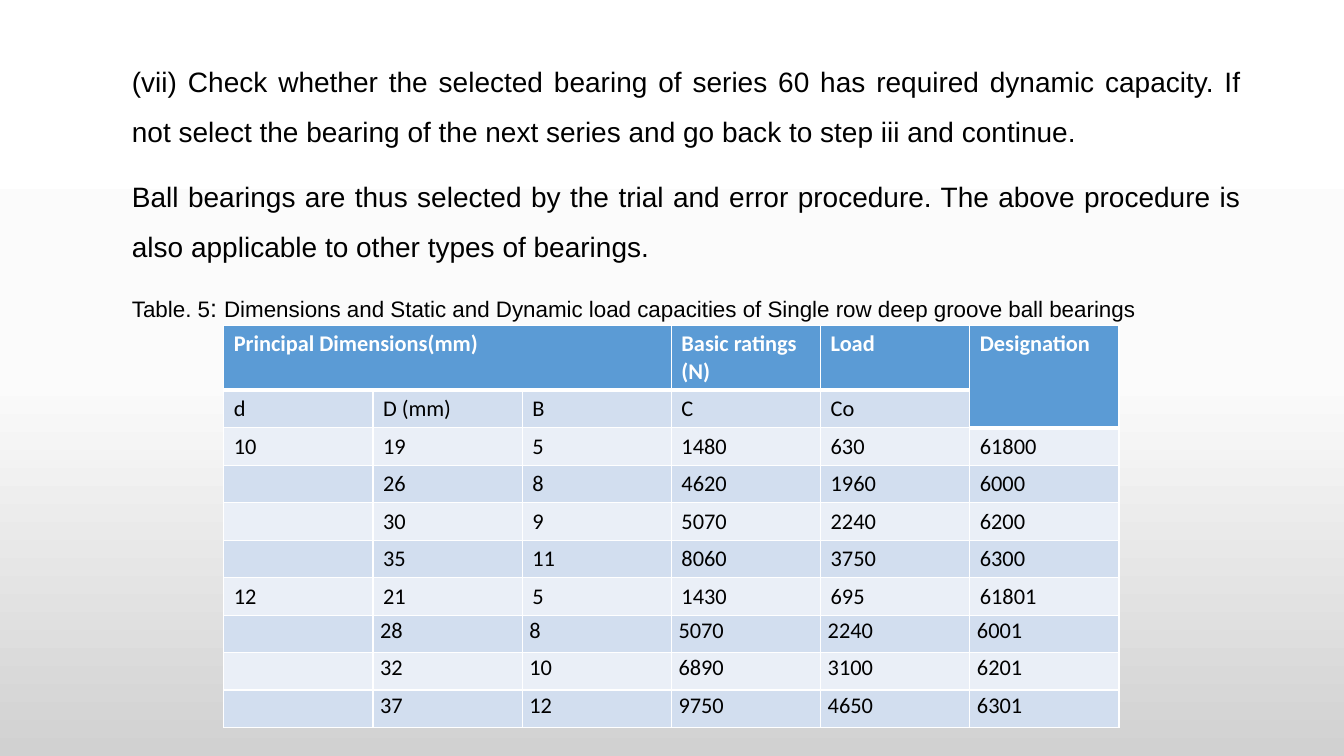
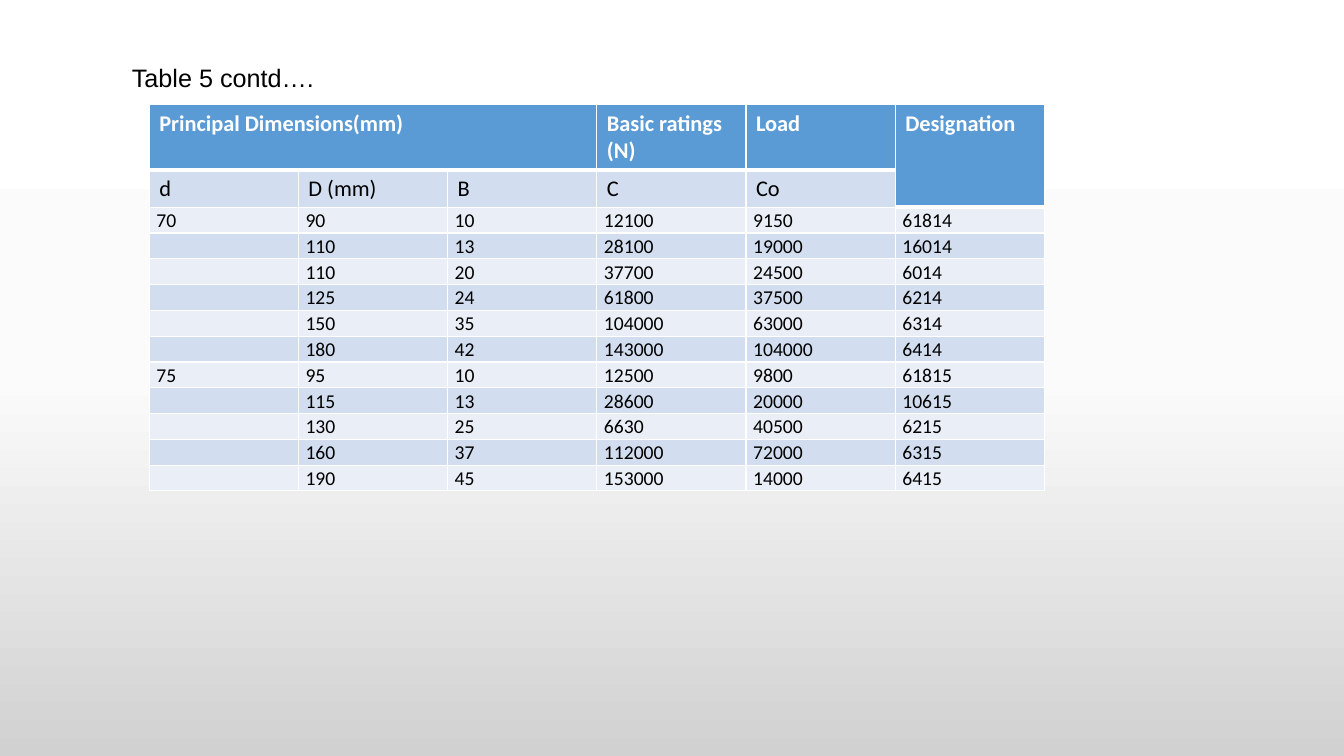
from copy import deepcopy

from lxml.etree import SubElement
from pptx import Presentation
from pptx.dml.color import RGBColor
from pptx.enum.text import MSO_ANCHOR, MSO_AUTO_SIZE, PP_ALIGN
from pptx.oxml import parse_xml
from pptx.oxml.ns import nsdecls, qn
from pptx.util import Cm, Pt

WHITE = RGBColor(0xFF, 0xFF, 0xFF)
BLACK = RGBColor(0, 0, 0)
HEADER_BLUE = RGBColor(0x5B, 0x9B, 0xD5)
BAND_BLUE = RGBColor(0xD2, 0xDE, 0xEF)
PALE_BLUE = RGBColor(0xEA, 0xEF, 0xF7)
BACKGROUND_STOPS = [
    (0, WHITE),
    (0.5, RGBColor(0xFB, 0xFB, 0xFB)),
    (1, RGBColor(0xD1, 0xD1, 0xD1)),
]

HEADINGS = [
    ["Principal Dimensions(mm)", "", "", "Basic ratings (N)", "Load", "Designation"],
    ["d", "D (mm)", "B", "C", "Co", ""],
]
SMALL_BEARINGS = [
    ["10", "19", "5", "1480", "630", "61800"],
    ["", "26", "8", "4620", "1960", "6000"],
    ["", "30", "9", "5070", "2240", "6200"],
    ["", "35", "11", "8060", "3750", "6300"],
    ["12", "21", "5", "1430", "695", "61801"],
    ["", "28", "8", "5070", "2240", "6001"],
    ["", "32", "10", "6890", "3100", "6201"],
    ["", "37", "12", "9750", "4650", "6301"],
]
LARGE_BEARINGS = [
    ["70", "90", "10", "12100", "9150", "61814"],
    ["", "110", "13", "28100", "19000", "16014"],
    ["", "110", "20", "37700", "24500", "6014"],
    ["", "125", "24", "61800", "37500", "6214"],
    ["", "150", "35", "104000", "63000", "6314"],
    ["", "180", "42", "143000", "104000", "6414"],
    ["75", "95", "10", "12500", "9800", "61815"],
    ["", "115", "13", "28600", "20000", "10615"],
    ["", "130", "25", "6630", "40500", "6215"],
    ["", "160", "37", "112000", "72000", "6315"],
    ["", "190", "45", "153000", "14000", "6415"],
]


class BearingDeck:
    body_font = "Arial"
    table_font = "Calibri"
    heading_size = 16
    column_width = Cm(3.76)
    header_height = Cm(1.63)
    row_height = Cm(0.94)

    def __init__(self):
        self.presentation = Presentation()
        self.presentation.slide_width = Cm(33.87)
        self.presentation.slide_height = Cm(19.05)
        self.slide = None
        self.set_background()

    def set_background(self):
        master = self.presentation.slide_master
        fill = master.background.fill
        fill.gradient()
        fill.gradient_angle = 270
        stop_list = master.element.find(".//" + qn("a:gsLst"))
        stop_list.insert(1, deepcopy(stop_list[0]))
        for stop, (position, color) in zip(fill.gradient_stops, BACKGROUND_STOPS):
            stop.position = position
            stop.color.rgb = color

    def add_slide(self):
        layout = self.presentation.slide_layouts[1]
        self.slide = self.presentation.slides.add_slide(layout)
        title = self.slide.shapes.title.element
        title.getparent().remove(title)

    def add_run(self, paragraph, text, font, size, color=BLACK, bold=False):
        run = paragraph.add_run()
        run.text = text
        run.font.name = font
        run.font.size = Pt(size)
        run.font.color.rgb = color
        run.font.bold = bold

    def add_body(self, paragraphs):
        body = self.slide.placeholders[1]
        body.left, body.top = Cm(3.07), Cm(1.07)
        body.width, body.height = Cm(28.47), Cm(17.22)
        frame = body.text_frame
        frame.word_wrap = True
        frame.auto_size = MSO_AUTO_SIZE.NONE
        frame.vertical_anchor = MSO_ANCHOR.TOP
        for index, runs in enumerate(paragraphs):
            paragraph = frame.add_paragraph() if index else frame.paragraphs[0]
            paragraph.alignment = PP_ALIGN.JUSTIFY
            paragraph.line_spacing = 1.5
            paragraph.space_before = Pt(10)
            paragraph.space_after = Pt(0)
            properties = paragraph._p.get_or_add_pPr()
            properties.set("marL", "0")
            properties.set("indent", "0")
            SubElement(properties, qn("a:buNone"))
            for text, size in runs:
                self.add_run(paragraph, text, self.body_font, size)

    def set_borders(self, cell, top, bottom):
        properties = cell._tc.get_or_add_tcPr()
        widths = {"lnL": 1, "lnR": 1, "lnT": top, "lnB": bottom}
        for index, (side, width) in enumerate(widths.items()):
            properties.insert(index, parse_xml(
                f'<a:{side} {nsdecls("a")} w="{Pt(width)}"><a:solidFill>'
                f'<a:srgbClr val="{WHITE}"/></a:solidFill></a:{side}>'
            ))

    def fill_cell(self, cell, text, size, fill, color, bold, compact):
        cell.fill.solid()
        cell.fill.fore_color.rgb = fill
        paragraph = cell.text_frame.paragraphs[0]
        if compact:
            cell.margin_left = cell.margin_right = Cm(0.18)
            cell.margin_top = cell.margin_bottom = 0
            paragraph.alignment = PP_ALIGN.JUSTIFY
            paragraph.line_spacing = 1.07
        if text:
            self.add_run(paragraph, text, self.table_font, size, color, bold)
        else:
            SubElement(paragraph._p, qn("a:endParaRPr"), sz=str(size * 100))

    def add_table(self, left, top, data, data_size, data_height, compact_from):
        rows = HEADINGS + data
        last_column = len(HEADINGS[0]) - 1
        heights = [self.header_height, self.row_height] + [data_height] * len(data)
        frame = self.slide.shapes.add_table(
            len(rows), last_column + 1, left, top,
            self.column_width * (last_column + 1), sum(heights),
        )
        table = frame.table
        for column in table.columns:
            column.width = self.column_width
        for row, height in zip(table.rows, heights):
            row.height = height

        def is_header(row, column):
            return row == 0 or (row == 1 and column == last_column)

        for row, values in enumerate(rows):
            size = self.heading_size if row < len(HEADINGS) else data_size
            for column, text in enumerate(values):
                header = is_header(row, column)
                below_header = row > 0 and not header and is_header(row - 1, column)
                band = BAND_BLUE if row % 2 else PALE_BLUE
                cell = table.cell(row, column)
                self.fill_cell(
                    cell, text, size,
                    fill=HEADER_BLUE if header else band,
                    color=WHITE if header else BLACK,
                    bold=header,
                    compact=row >= compact_from,
                )
                self.set_borders(cell, 3 if below_header else 1, 3 if header else 1)
        table.cell(0, 0).merge(table.cell(0, 2))
        table.cell(0, last_column).merge(table.cell(1, last_column))


def main():
    deck = BearingDeck()

    deck.add_slide()
    deck.add_body([
        [("(vii) Check whether the selected bearing of series 60 has required dynamic "
          "capacity. If not select the bearing of the next series and go back to step "
          "iii and continue.", 20)],
        [("Ball bearings are thus selected by the trial and error procedure. The above "
          "procedure is also applicable to other types of bearings.", 20)],
        [("Table. 5", 16), (": ", 18),
         ("Dimensions and Static and Dynamic load capacities of Single row deep groove "
          "ball bearings", 16)],
    ])
    deck.add_table(Cm(5.64), Cm(8.2), SMALL_BEARINGS, 16, Cm(0.94), compact_from=7)

    deck.add_slide()
    deck.add_body([[("Table 5 contd….", 18)]])
    deck.add_table(Cm(3.76), Cm(2.64), LARGE_BEARINGS, 14, Cm(0.65), compact_from=2)

    deck.presentation.save("out.pptx")


if __name__ == "__main__":
    main()
